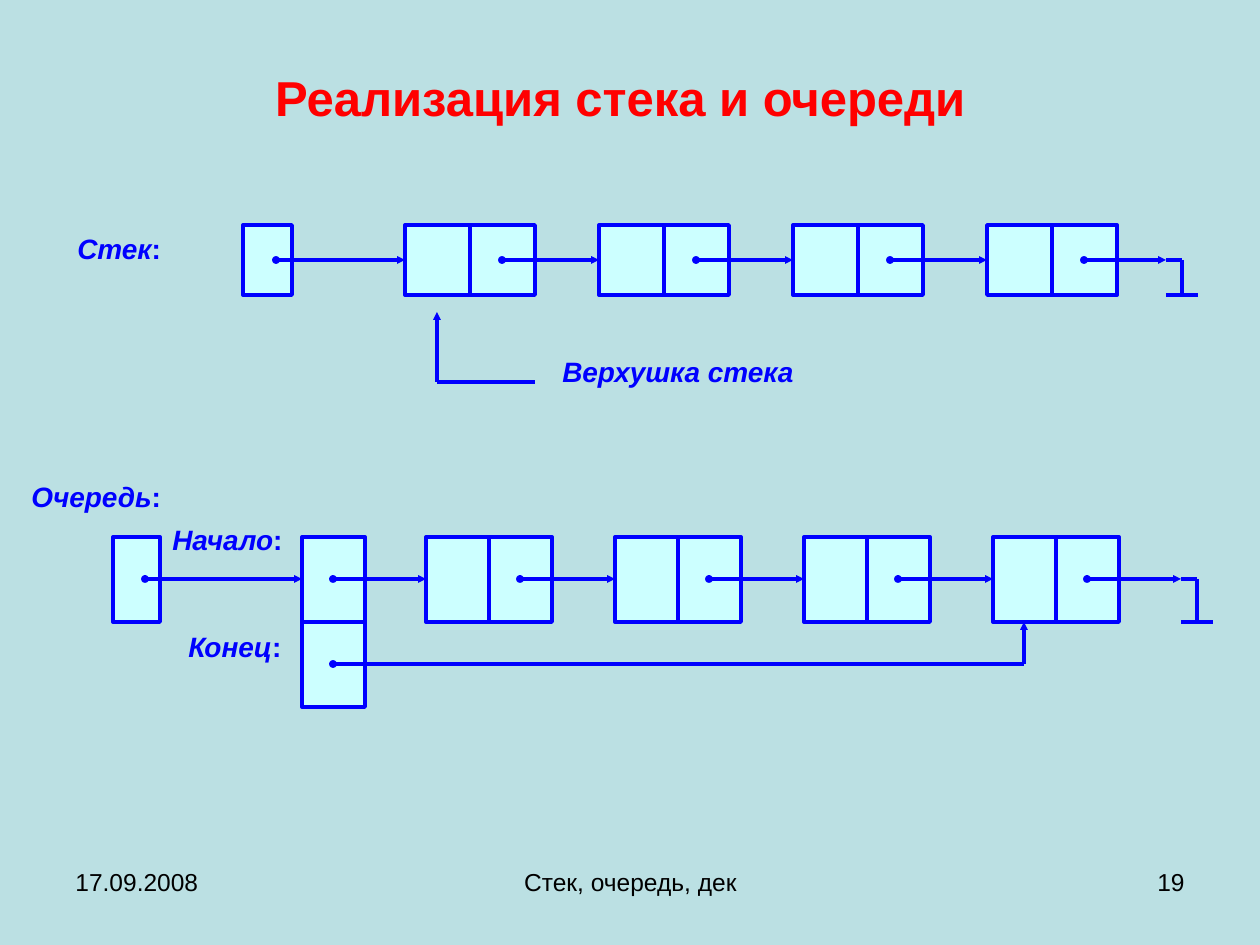
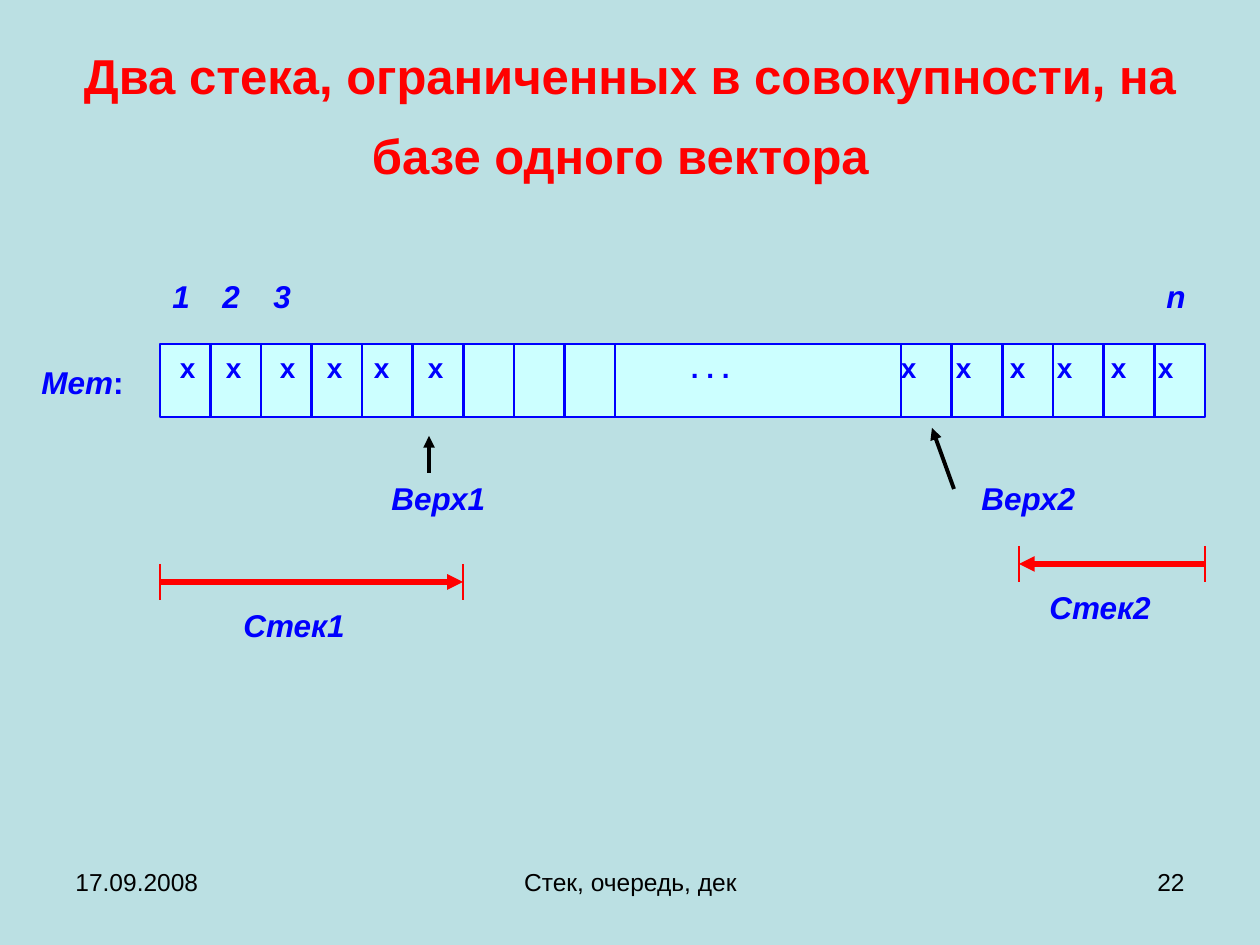
from dataclasses import dataclass

from lxml import etree
from pptx import Presentation
from pptx.dml.color import RGBColor
from pptx.enum.shapes import MSO_CONNECTOR, MSO_SHAPE
from pptx.enum.text import MSO_ANCHOR, PP_ALIGN
from pptx.oxml.ns import qn
from pptx.util import Pt

STRAIGHT = MSO_CONNECTOR.STRAIGHT
RECTANGLE = MSO_SHAPE.RECTANGLE
TOP, MIDDLE = MSO_ANCHOR.TOP, MSO_ANCHOR.MIDDLE
LEFT, CENTER, RIGHT = PP_ALIGN.LEFT, PP_ALIGN.CENTER, PP_ALIGN.RIGHT
EMU_PER_PX = 914400 / 126
SLIDE_W, SLIDE_H = 1260, 945


@dataclass(frozen=True)
class Theme:
    font: str = "Arial"
    background: str = "BBE0E3"
    cell: str = "CCFFFF"
    ink: str = "0000FF"
    accent: str = "FF0000"
    plain: str = "000000"
    title_pt: int = 28
    title_end_pt: int = 40
    node_label_pt: int = 16
    vector_label_pt: int = 18
    footer_pt: int = 14
    thin: float = 1.5
    medium: float = 2.25
    thick: float = 3


THEME = Theme()

DATE, TOPIC = "17.09.2008", "Стек, очередь, дек"
FOOTER_TOP, FOOTER_H = 861, 65

# Linked lists: nodes of two fields, the right one holding the pointer
LINKED = {
    "title": "Реализация стека и очереди", "title_h": 102, "number": "19",
    "labels": [  # text, suffix, left, top, width
        ("Стек", ":", 65, 225, 128),
        ("Верхушка стека", "", 550, 348, 275),
        ("Очередь", ":", 19, 473, 172),
        ("Начало", ":", 160, 516, 156),
        ("Конец", ":", 176, 623, 157),
    ],
}
STACK = {"left": 405, "top": 225, "width": 130, "height": 70,
         "pitch": 194, "pointer": 97, "ground": 1166}
QUEUE = {"left": 426, "top": 537, "width": 126, "height": 85,
         "pitch": 189, "pointer": 94, "ground": 1181}
NODE_COUNT = 4
STACK_HEAD = (243, 49, 276)  # left, width, pointer
QUEUE_HEAD = (113, 47, 145)
QUEUE_ENDS = (302, 63, 333)

# Two stacks growing towards each other in one vector
VECTOR = {
    "title": "Два стека, ограниченных в совокупности, на базе одного вектора",
    "title_h": 158, "number": "22",
    "labels": [
        ("Mem", ":", 29, 357, 135),
        ("Верх1", "", 379, 473, 152),
        ("Верх2", "", 969, 473, 135),
        ("Стек1", "", 231, 600, 160),
        ("Стек2", "", 1037, 582, 135),
    ],
}
INDEXES = [("1", 160), ("2", 210), ("3", 261), ("n", 1154)]
VECTOR_LEFT, VECTOR_TOP, VECTOR_RIGHT, VECTOR_H = 160, 344, 1205, 73
CELL_GROUPS = [(160, 615, 9), (901, 1205, 6)]  # from, to, number of cells
CONTENTS = [("x", 180), ("x", 226), ("x", 280), ("x", 327), ("x", 374),
            ("x", 428), (". . .", 691), ("x", 901), ("x", 956), ("x", 1010),
            ("x", 1057), ("x", 1111), ("x", 1158)]
TOP_ARROWS = [(429, 473, 429, 436), (954, 489, 932, 428)]
STACK_SPANS = [(160, 463, 582), (1205, 1019, 564)]  # bottom x, top x, y
SPAN_TICK = 18


def px(*values):
    return [round(value * EMU_PER_PX) for value in values]


def colour(code):
    return RGBColor.from_string(code)


def style(run, size, ink, bold=False, italic=False):
    font = run.font
    font.name, font.size = THEME.font, Pt(size)
    font.bold, font.italic = bold, italic
    font.color.rgb = colour(ink)


def textbox(slide, text, box, align=LEFT, anchor=TOP):
    """Adds a wrapped text box and returns its only paragraph."""
    frame = slide.shapes.add_textbox(*px(*box)).text_frame
    frame.word_wrap = True
    frame.vertical_anchor = anchor
    frame.text = text
    paragraph = frame.paragraphs[0]
    paragraph.alignment = align
    return paragraph


def label(slide, text, suffix, left, top, width, size):
    paragraph = textbox(slide, text, (left, top, width, 70))
    style(paragraph.runs[0], size, THEME.ink, bold=True, italic=True)
    if suffix:
        run = paragraph.add_run()
        run.text = suffix
        style(run, size, THEME.ink, bold=True)


def cell(slide, left, top, width, height, line_width=THEME.medium):
    shape = slide.shapes.add_shape(RECTANGLE, *px(left, top, width, height))
    shape.shadow.inherit = False
    shape.fill.solid()
    shape.fill.fore_color.rgb = colour(THEME.cell)
    shape.line.color.rgb = colour(THEME.ink)
    shape.line.width = Pt(line_width)
    return shape


def segment(slide, x1, y1, x2, y2, ink=THEME.ink, width=THEME.medium,
            dot=False, arrow=False, end_size="sm"):
    connector = slide.shapes.add_connector(STRAIGHT, *px(x1, y1, x2, y2))
    connector.line.color.rgb = colour(ink)
    connector.line.width = Pt(width)
    outline = connector.line._get_or_add_ln()
    for wanted, tag, kind in ((dot, "a:headEnd", "oval"),
                              (arrow, "a:tailEnd", "triangle")):
        if wanted:
            etree.SubElement(outline, qn(tag), type=kind, w=end_size, len=end_size)
    etree.SubElement(connector._element.spPr, qn("a:effectLst"))


def new_slide(deck, content, label_size):
    """Adds a slide with background, title, footer and labels."""
    slide = deck.slides.add_slide(deck.slide_layouts[6])
    fill = slide.background.fill
    fill.solid()
    fill.fore_color.rgb = colour(THEME.background)

    title = textbox(slide, content["title"], (63, 38, 1134, content["title_h"]),
                    CENTER, MIDDLE)
    style(title.runs[0], THEME.title_pt, THEME.accent, bold=True)
    title_end = title.add_run()
    title_end.text = " "
    style(title_end, THEME.title_end_pt, THEME.plain)

    for text, left, width, align in ((DATE, 63, 294, LEFT),
                                     (TOPIC, 431, 399, CENTER),
                                     (content["number"], 903, 294, RIGHT)):
        footer = textbox(slide, text, (left, FOOTER_TOP, width, FOOTER_H), align)
        style(footer.runs[0], THEME.footer_pt, THEME.plain)
    return slide


def draw_labels(slide, content, size):
    for text, suffix, left, top, width in content["labels"]:
        label(slide, text, suffix, left, top, width, size)


def draw_chain(slide, chain):
    """Draws the nodes, their links and the closing ground sign."""
    top, bottom = chain["top"], chain["top"] + chain["height"]
    middle = top + chain["height"] // 2
    ground = chain["ground"]
    lefts = [chain["left"] + i * chain["pitch"] for i in range(NODE_COUNT)]
    for left in lefts:
        cell(slide, left, top, chain["width"], chain["height"])
        divider = left + chain["width"] // 2
        segment(slide, divider, top, divider, bottom)
    for left, target in zip(lefts, lefts[1:] + [ground]):
        segment(slide, left + chain["pointer"], middle, target, middle,
                dot=True, arrow=True)
    segment(slide, ground, middle, ground + 16, middle)
    segment(slide, ground + 16, middle, ground + 16, bottom)
    segment(slide, ground, bottom, ground + 32, bottom)


def draw_head(slide, chain, head, target):
    left, width, pointer = head
    middle = chain["top"] + chain["height"] // 2
    cell(slide, left, chain["top"], width, chain["height"])
    segment(slide, pointer, middle, target, middle, dot=True, arrow=True)


def linked_slide(deck):
    slide = new_slide(deck, LINKED, THEME.node_label_pt)
    draw_chain(slide, STACK)
    draw_head(slide, STACK, STACK_HEAD, STACK["left"])
    top_field = STACK["left"] + STACK["width"] // 4
    segment(slide, top_field, 382, top_field, 312, arrow=True)
    segment(slide, STACK["left"] + STACK["width"], 382, top_field, 382)

    draw_chain(slide, QUEUE)
    ends_left, ends_width, ends_pointer = QUEUE_ENDS
    draw_head(slide, QUEUE, QUEUE_HEAD, ends_left)
    draw_head(slide, QUEUE, QUEUE_ENDS, QUEUE["left"])
    bottom = QUEUE["top"] + QUEUE["height"]
    last_field = (QUEUE["left"] + (NODE_COUNT - 1) * QUEUE["pitch"]
                  + QUEUE["width"] // 4)
    end_y = bottom + QUEUE["height"] // 2
    cell(slide, ends_left, bottom, ends_width, QUEUE["height"])
    segment(slide, ends_pointer, end_y, last_field, end_y, dot=True)
    segment(slide, last_field, end_y, last_field, bottom, arrow=True)
    draw_labels(slide, LINKED, THEME.node_label_pt)


def draw_vector(slide):
    bar = cell(slide, VECTOR_LEFT, VECTOR_TOP, VECTOR_RIGHT - VECTOR_LEFT,
               VECTOR_H, THEME.thin)
    frame = bar.text_frame
    frame.word_wrap = True
    frame.vertical_anchor = TOP
    text_left = CONTENTS[0][1]
    frame.margin_left = px(text_left - VECTOR_LEFT)[0]
    frame.margin_right = 0
    frame.text = "\t".join(text for text, _ in CONTENTS)
    paragraph = frame.paragraphs[0]
    paragraph.alignment = LEFT
    stops = etree.SubElement(paragraph._p.get_or_add_pPr(), qn("a:tabLst"))
    for _, x in CONTENTS[1:]:
        etree.SubElement(stops, qn("a:tab"), pos=str(px(x - text_left)[0]), algn="l")
    for run in paragraph.runs:
        style(run, THEME.node_label_pt, THEME.ink, bold=True)

    for start, end, count in CELL_GROUPS:
        for i in range(count + 1):
            x = start + (end - start) * i / count
            if VECTOR_LEFT < x < VECTOR_RIGHT:
                segment(slide, x, VECTOR_TOP, x, VECTOR_TOP + VECTOR_H,
                        width=THEME.thin)


def vector_slide(deck):
    slide = new_slide(deck, VECTOR, THEME.vector_label_pt)
    draw_vector(slide)
    for index, left in INDEXES:
        label(slide, index, "", left, 271, 68, THEME.vector_label_pt)
    for ends in TOP_ARROWS:
        segment(slide, *ends, ink=THEME.plain, arrow=True, end_size="med")
    for bottom_x, top_x, y in STACK_SPANS:
        segment(slide, bottom_x, y, top_x, y, THEME.accent, THEME.thick,
                arrow=True, end_size="med")
        for x in (bottom_x, top_x):
            segment(slide, x, y - SPAN_TICK, x, y + SPAN_TICK,
                    THEME.accent, THEME.thin)
    draw_labels(slide, VECTOR, THEME.vector_label_pt)


def main():
    deck = Presentation()
    deck.slide_width, deck.slide_height = px(SLIDE_W, SLIDE_H)
    linked_slide(deck)
    vector_slide(deck)
    deck.save("out.pptx")


if __name__ == "__main__":
    main()
